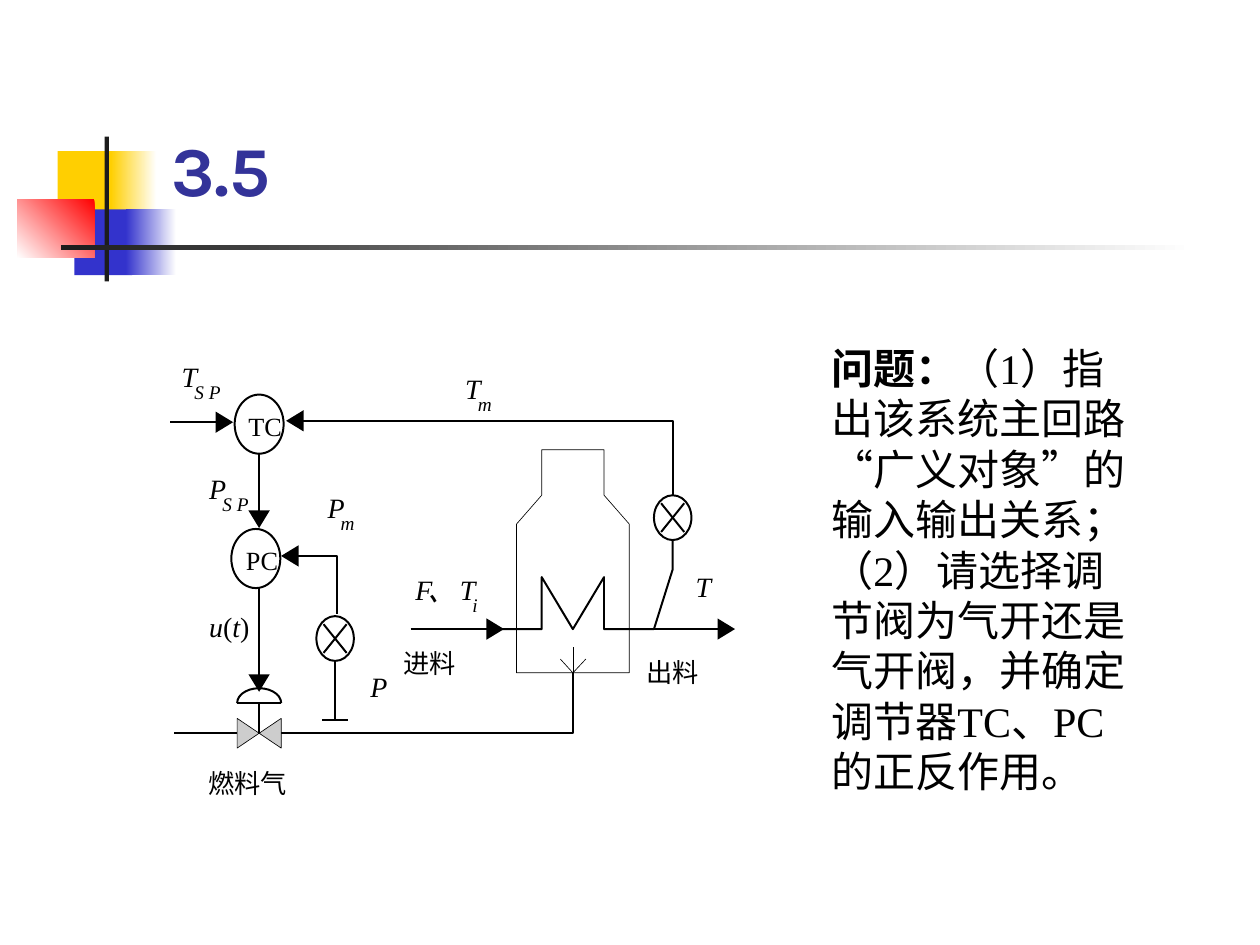
from math import cos, pi, sin

from lxml.etree import SubElement
from pptx import Presentation
from pptx.dml.color import RGBColor
from pptx.enum.shapes import MSO_CONNECTOR as Connector, MSO_SHAPE as Shape
from pptx.enum.text import MSO_ANCHOR as Anchor, PP_ALIGN as Align
from pptx.oxml.ns import qn
from pptx.util import Pt

BLACK = "000000"
WHITE = "FFFFFF"
LATIN = "Times New Roman"
CHINESE = "Noto Sans CJK SC"
THIN = 0.37


def color(value):
    return RGBColor.from_string(value)


class Diagram:
    stroke = 1.13

    def __init__(self, slide):
        self.slide = slide

    def style(self, shape, fill=None, line=None, width=stroke):
        shape.shadow.inherit = False
        if fill:
            shape.fill.solid()
            shape.fill.fore_color.rgb = color(fill)
        else:
            shape.fill.background()
        if line:
            shape.line.color.rgb = color(line)
            shape.line.width = Pt(width)
        else:
            shape.line.fill.background()

    def preset(self, kind, left, top, width, height, fill, line=None):
        shape = self.slide.shapes.add_shape(kind, Pt(left), Pt(top), Pt(width), Pt(height))
        self.style(shape, fill, line)
        return shape

    def gradient(self, left, top, width, height, start, end, angle=0):
        shape = self.preset(Shape.RECTANGLE, left, top, width, height, start)
        shape.fill.gradient()
        shape.fill.gradient_angle = angle
        for stop, value in zip(shape.fill.gradient_stops, (start, end)):
            stop.color.rgb = color(value)

    def outline(self, points, fill=None, line=BLACK, width=stroke, close=False):
        corners = [(Pt(x), Pt(y)) for x, y in points]
        builder = self.slide.shapes.build_freeform(*corners[0], scale=1.0)
        builder.add_line_segments(corners[1:], close=close)
        self.style(builder.convert_to_shape(), fill, line, width)

    def line(self, start, end, width=stroke):
        connector = self.slide.shapes.add_connector(
            Connector.STRAIGHT, *(Pt(value) for value in (*start, *end)))
        connector.line.color.rgb = color(BLACK)
        connector.line.width = Pt(width)
        SubElement(connector._element.spPr, qn("a:effectLst"))

    def arrowhead(self, x, y, across, down, length=10, half=6.1):
        back_x, back_y = x - across * length, y - down * length
        self.outline([(x, y), (back_x + down * half, back_y + across * half),
                      (back_x - down * half, back_y - across * half)],
                     fill=BLACK, line=None, close=True)

    def arrow(self, points, across, down):
        tip_x, tip_y = points[-1]
        end = (tip_x - across * 9, tip_y - down * 9)
        if len(points) == 2:
            self.line(points[0], end)
        else:
            self.outline([*points[:-1], end])
        self.arrowhead(tip_x, tip_y, across, down)

    def oval(self, x, y, width, height):
        self.preset(Shape.OVAL, x - width / 2, y - height / 2, width, height, WHITE, BLACK)

    def sensor(self, x, y):
        self.oval(x, y, 21.4, 25.6)
        for side in (1, -1):
            self.line((x + side * 6.6, y - 8.2), (x - side * 6.6, y + 8.2))

    def text(self, left, top, width, height, paragraphs, size, font=LATIN,
             value=BLACK, inset=(0, 0), align=Align.CENTER, wrap=False,
             anchor=Anchor.TOP, spacing=None):
        frame = self.slide.shapes.add_textbox(Pt(left), Pt(top), Pt(width), Pt(height)).text_frame
        frame.word_wrap = wrap
        frame.vertical_anchor = anchor
        frame.margin_left = frame.margin_right = Pt(inset[0])
        frame.margin_top = frame.margin_bottom = Pt(inset[1])
        for index, pieces in enumerate(paragraphs):
            paragraph = frame.add_paragraph() if index else frame.paragraphs[0]
            paragraph.alignment = align
            if spacing:
                paragraph.line_spacing = Pt(spacing)
            for content, bold, italic in pieces:
                run = paragraph.add_run()
                run.text = content
                run.font.name = font
                run.font.size = Pt(size)
                run.font.bold = bold
                run.font.italic = italic
                run.font.color.rgb = color(value)
                SubElement(run._r.get_or_add_rPr(), qn("a:ea")).set("typeface", CHINESE)

    def label(self, left, top, width, content, size=15, font=LATIN, italic=False):
        self.text(left, top, width, size * 1.2, [[(content, False, italic)]],
                  size, font, spacing=size * 1.2)

    def symbol(self, left, top, letter, subscript="", width=0):
        self.label(left, top, 9.4, letter, 16, italic=True)
        if subscript:
            self.label(left + 7.5, top + 12, width, subscript, 11, italic=True)


presentation = Presentation()
presentation.slide_width = Pt(720)
presentation.slide_height = Pt(540)
diagram = Diagram(presentation.slides.add_slide(presentation.slide_layouts[6]))

diagram.preset(Shape.RECTANGLE, 33, 86.4, 34.5, 37.5, "FFCF01")
diagram.gradient(63.4, 86.4, 26, 37.5, "FFCF01", WHITE)
diagram.preset(Shape.RECTANGLE, 42.5, 119.7, 33, 37.5, "3333CC")
diagram.gradient(72, 119.7, 28.8, 37.5, "3333CC", WHITE)
diagram.gradient(10, 113.8, 44, 33.5, "FF0000", WHITE, 225)
diagram.preset(Shape.RECTANGLE, 59.8, 78, 2.5, 82.8, "1C1C1C")
diagram.gradient(34.6, 140.2, 648, 2.5, "1C1C1C", WHITE)

diagram.text(90.7, 49, 613.4, 75, [[("3.5", True, False)]], 40, "Karla", "333399",
             (7.2, 3.6), Align.LEFT, True, Anchor.BOTTOM)
question = [
    [("问题：", True, False),
     ("（1）指出该系统主回路 “广义对象”的输入输出关系；", False, False)],
    [("（2）请选择调节阀为气开还是气开阀，并确定调节器TC、PC的正反作用。", False, False)],
]
diagram.text(468, 192.2, 185.8, 295.2, question, 24, inset=(7.2, 3.6),
             align=Align.LEFT, wrap=True, spacing=28.8)

furnace_x, base_y, feed_y, fuel_y = 327.4, 384.5, 359.5, 419
furnace = [(-32.2, base_y), (-32.2, 299.5), (-17.8, 283), (-17.8, 257),
           (17.8, 257), (17.8, 283), (32.2, 299.5), (32.2, base_y)]
diagram.outline([(furnace_x + x, y) for x, y in furnace], WHITE, width=THIN, close=True)
coil = [(-46.4, feed_y), (-17.8, feed_y), (-17.8, 329.8), (0, feed_y),
        (17.8, 329.8), (17.8, feed_y), (46.3, feed_y)]
diagram.outline([(furnace_x + x, y) for x, y in coil])
diagram.arrow([(373.7, feed_y), (420, feed_y)], 1, 0)
diagram.arrow([(234.7, feed_y), (288, feed_y)], 1, 0)
for x, y in ((7.4, 376.6), (-7.2, 376.6), (0, 370)):
    diagram.line((furnace_x, base_y), (furnace_x + x, y), THIN)

sensor_x, valve_x, tap_x = 384.4, 148.1, 191.5
diagram.sensor(sensor_x, 295.8)
diagram.outline([(sensor_x, 308.5), (sensor_x, 325.4), (373.7, feed_y)])
diagram.outline([(furnace_x, base_y), (furnace_x, fuel_y), (99.5, fuel_y)])

half, dome_y = 12.6, 401.8
valve = [(1, 1), (1, -1), (-1, 1), (-1, -1)]
diagram.outline([(valve_x + half * x, fuel_y + 8.5 * y) for x, y in valve],
                "CDCDCD", width=THIN, close=True)
diagram.line((valve_x, fuel_y), (valve_x, dome_y))
diagram.line((valve_x - half, dome_y), (valve_x + half, dome_y))
diagram.outline([(valve_x - half * cos(pi * step / 14), dome_y - 8.5 * sin(pi * step / 14))
                 for step in range(15)])

diagram.oval(valve_x, 242.4, 28, 33.8)
diagram.oval(146.2, 319.2, 28, 33.8)
diagram.sensor(tap_x, 364.9)
diagram.line((tap_x, 378), (tap_x, 411.5))
diagram.line((tap_x - 7.2, 411.5), (tap_x + 7.2, 411.5))
diagram.arrow([(sensor_x, 283), (sensor_x, 240.5), (163.5, 240.5)], -1, 0)
diagram.arrow([(192.4, 350.6), (192.4, 317.7), (160.6, 317.7)], -1, 0)
diagram.arrow([(valve_x, 336), (valve_x, 395.3)], 0, 1)
diagram.arrow([(valve_x, 259.2), (valve_x, 301.7)], 0, 1)
diagram.arrow([(97.2, 241.3), (133.2, 241.3)], 1, 0)

for left, top, width, content, font in (
        (141.8, 234.7, 19.4, "TC", LATIN), (140.4, 311, 18.7, "PC", LATIN),
        (230.4, 370, 30.2, "进料", CHINESE), (369.4, 375, 30.2, "出料", CHINESE),
        (118.8, 438.5, 45.4, "燃料气", CHINESE)):
    diagram.label(left, top, width, content, font=font)

for left, top, letter, subscript, width in (
        (103.5, 205.2, "T", "S P", 15.1), (119.5, 269.3, "P", "S P", 15.1),
        (265.5, 212.4, "T", "m", 7.9), (187.2, 280.1, "P", "m", 7.9),
        (262.5, 326.9, "T", "i", 2.9), (397.2, 325.4, "T", "", 0),
        (211.7, 382.3, "P", "", 0), (237.4, 326.9, "F", "", 0)):
    diagram.symbol(left, top, letter, subscript, width)
diagram.label(244, 327.6, 15.8, "、", 16, CHINESE, True)
diagram.text(119.5, 348.5, 23, 19.2,
             [[("u", False, True), ("(", False, False), ("t", False, True), (")", False, False)]],
             16, spacing=19.2)

presentation.save("out.pptx")
